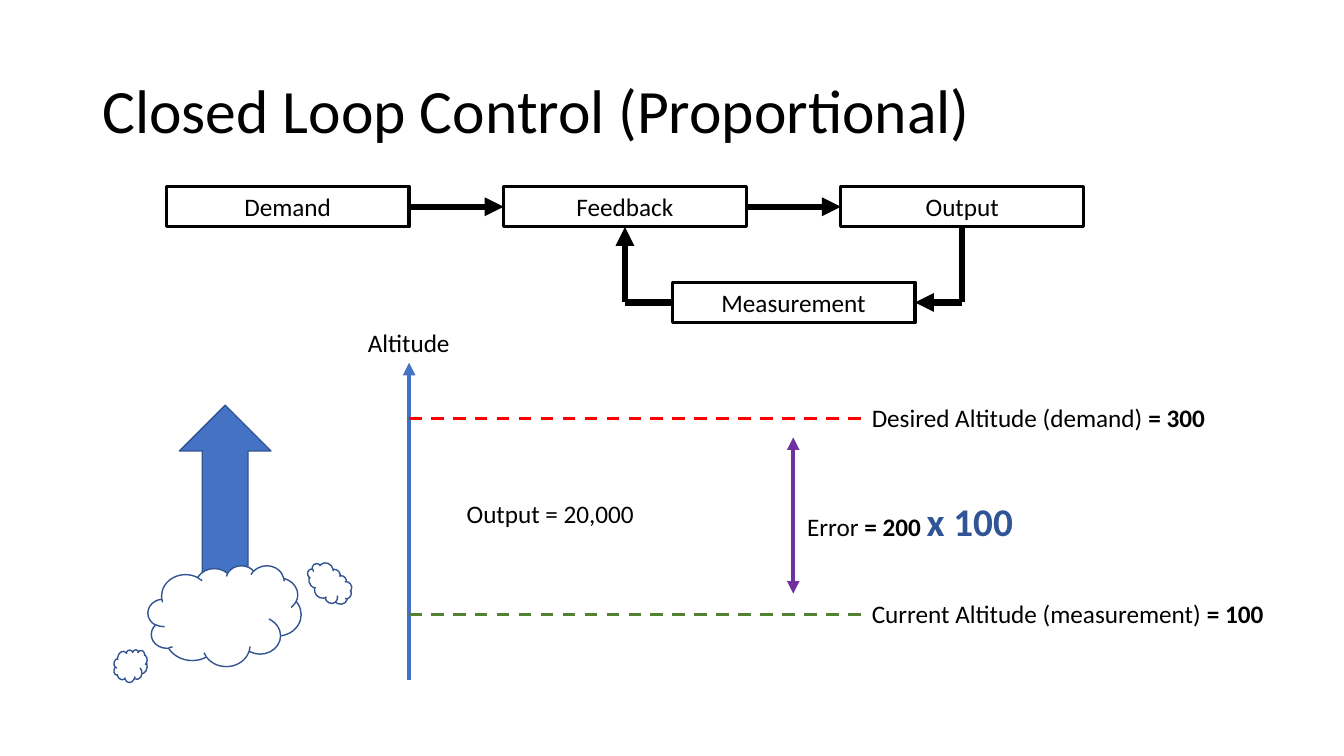
from lxml.etree import SubElement
from pptx import Presentation
from pptx.dml.color import RGBColor
from pptx.enum.dml import MSO_LINE
from pptx.enum.shapes import MSO_CONNECTOR, MSO_SHAPE
from pptx.enum.text import MSO_ANCHOR, PP_ALIGN
from pptx.oxml.ns import qn
from pptx.util import Cm, Pt

BLACK, WHITE = "000000", "FFFFFF"
BLUE, EDGE, NAVY = "4472C4", "325491", "2F5597"
RED, GREEN, PURPLE = "FF0000", "548235", "7030A0"


def paint(color, tone):
    color.rgb = RGBColor.from_string(tone)


def style(run, size=18, bold=False, tone=BLACK):
    run.font.name = "Calibri"
    run.font.size = Pt(size)
    run.font.bold = bold
    paint(run.font.color, tone)


def draw(slide, kind, box, fill, edge, width):
    shape = slide.shapes.add_shape(kind, *map(Cm, box))
    shape.shadow.inherit = False
    if fill:
        shape.fill.solid()
        paint(shape.fill.fore_color, fill)
    else:
        shape.fill.background()
    paint(shape.line.color, edge)
    shape.line.width = Pt(width)
    return shape


def link(slide, start, end, tone, width, ends=(), dash=False):
    line = slide.shapes.add_connector(
        MSO_CONNECTOR.STRAIGHT, *map(Cm, (*start, *end)))
    paint(line.line.color, tone)
    line.line.width = Pt(width)
    if dash:
        line.line.dash_style = MSO_LINE.DASH
    props = line._element.spPr
    for name in ends:
        SubElement(props.find(qn("a:ln")), qn(f"a:{name}"), type="triangle")
    SubElement(props, qn("a:effectLst"))


def label(slide, box, *parts):
    frame = slide.shapes.add_textbox(*map(Cm, box)).text_frame
    frame.word_wrap = False
    for text, *looks in parts:
        run = frame.paragraphs[0].add_run()
        run.text = text
        style(run, *looks)


def add_title(slide, box, text):
    title = slide.shapes.title
    title.left, title.top, title.width, title.height = map(Cm, box)
    frame = title.text_frame
    frame.text = text
    frame.vertical_anchor = MSO_ANCHOR.MIDDLE
    line = frame.paragraphs[0]
    line.alignment = PP_ALIGN.LEFT
    line.line_spacing = 0.9
    style(line.runs[0], 44)


def add_loop(slide, box):
    left, top, width, height = box
    wide, high = 6.12, 1.02
    step = (width - wide) / 2
    drop = height - high
    blocks = [("Demand", 0, 0), ("Feedback", 1, 0), ("Output", 2, 0),
              ("Measurement", 1.5, drop)]
    for text, col, down in blocks:
        place = (left + col * step, top + down, wide, high)
        block = draw(slide, MSO_SHAPE.RECTANGLE, place, None, BLACK, 2.25)
        frame = block.text_frame
        frame.text = text
        frame.paragraphs[0].alignment = PP_ALIGN.CENTER
        style(frame.paragraphs[0].runs[0])

    row, base = top + high / 2, top + drop + high / 2
    back, out = (left + col * step + wide / 2 for col in (1, 2))
    near = left + 1.5 * step
    tip = ["tailEnd"]
    for col in range(2):
        start = left + col * step + wide
        link(slide, (start, row), (left + (col + 1) * step, row),
             BLACK, 4.5, tip)
    link(slide, (out, top + high), (out, base), BLACK, 4.5)
    link(slide, (out, base), (near + wide, base), BLACK, 4.5, tip)
    link(slide, (near, base), (back, base), BLACK, 4.5)
    link(slide, (back, base), (back, top + high), BLACK, 4.5, tip)


def add_plot(slide, box):
    left, top, width, height = box
    right = left + width
    link(slide, (left, top + height), (left, top), BLUE, 3, ["tailEnd"])
    label(slide, (left - 1.29, top - 1.01, 2.59, 1.02), ("Altitude",))

    levels = [
        (6.35, GREEN, 10.52, "Current Altitude (measurement) ", "= 100"),
        (1.4, RED, 9.02, "Desired Altitude (demand) ", "= 300"),
    ]
    for down, tone, wide, name, value in levels:
        level = top + down
        link(slide, (left, level), (right, level), tone, 2.25, dash=True)
        label(slide, (right, level - 0.53, wide, 1.02),
              (name,), (value, 18, True))

    gap = left + 9.68
    link(slide, (gap, top + 1.88), (gap, top + 5.82), PURPLE, 3,
         ["headEnd", "tailEnd"])
    label(slide, (gap + 0.1, top + 3.26, 5.77, 1.45),
          ("Error ",), ("= 200 ", 18, True), ("x 100", 28, True, NAVY))
    label(slide, (left + 1.2, top + 3.28, 4.78, 1.02), ("Output = 20,000",))


def add_craft(slide, box):
    left, top, width, height = box
    draw(slide, MSO_SHAPE.UP_ARROW, (left + 1.65, top, 2.31, 5.77),
         BLUE, EDGE, 1)
    puffs = [(0.86, 4.04, 3.86, 2.54, 0),
             (width - 1.24, 4.09, 1.24, 0.84, 49.9),
             (0, height - 0.84, 0.84, 0.84, 6.4)]
    for over, down, wide, high, turn in puffs:
        place = (left + over, top + down, wide, high)
        puff = draw(slide, MSO_SHAPE.CLOUD, place, WHITE, EDGE, 1)
        puff.rotation = turn


def main():
    deck = Presentation()
    deck.slide_width, deck.slide_height = Cm(33.87), Cm(19.05)
    slide = deck.slides.add_slide(deck.slide_layouts[5])
    add_title(slide, (2.33, 1.02, 29.21, 3.68),
              "Closed Loop Control (Proportional)")
    add_loop(slide, (4.19, 4.7, 23.12, 3.43))
    add_plot(slide, (10.31, 9.14, 11.41, 8))
    add_craft(slide, (2.87, 10.21, 6.04, 6.99))
    deck.save("out.pptx")


if __name__ == "__main__":
    main()
